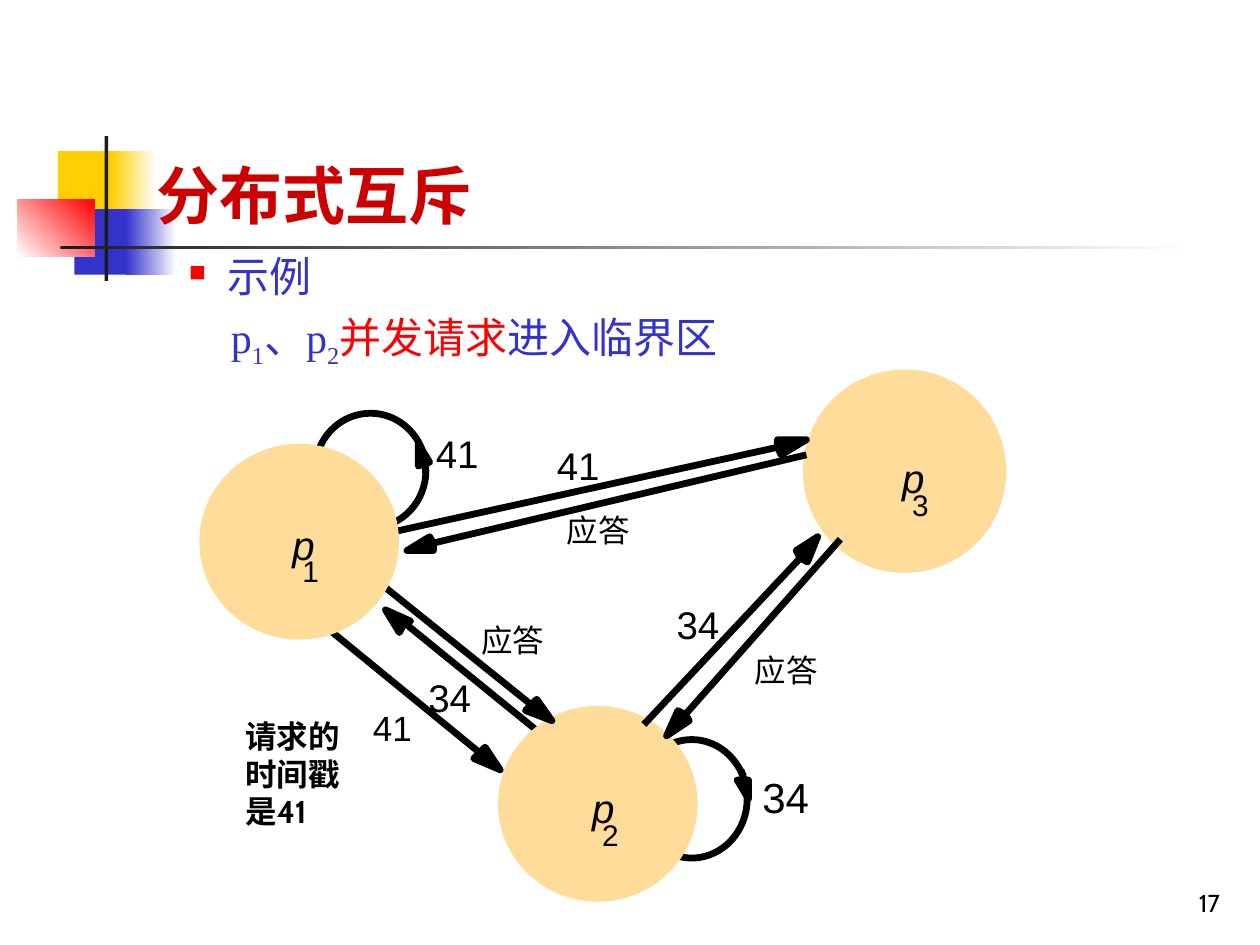
from pptx import Presentation
from pptx.dml.color import RGBColor
from pptx.enum.shapes import MSO_CONNECTOR, MSO_SHAPE
from pptx.enum.text import MSO_ANCHOR, MSO_AUTO_SIZE, PP_ALIGN
from pptx.oxml.ns import qn
from pptx.util import Inches, Pt
from lxml import etree

RECT, OVAL = MSO_SHAPE.RECTANGLE, MSO_SHAPE.OVAL
STRAIGHT = MSO_CONNECTOR.STRAIGHT
LEFT, RIGHT = PP_ALIGN.LEFT, PP_ALIGN.RIGHT
TOP, BOTTOM = MSO_ANCHOR.TOP, MSO_ANCHOR.BOTTOM
NO_FIT = MSO_AUTO_SIZE.NONE

BLACK = RGBColor(0x00, 0x00, 0x00)
WHITE = RGBColor(0xFF, 0xFF, 0xFF)
DARK = RGBColor(0x1C, 0x1C, 0x1C)
YELLOW = RGBColor(0xFF, 0xCF, 0x01)
BLUE = RGBColor(0x33, 0x33, 0xCC)
RED = RGBColor(0xFF, 0x00, 0x00)
CRIMSON = RGBColor(0xCC, 0x00, 0x00)
PEACH = RGBColor(0xFF, 0xDC, 0x99)

SANS, LABEL, SERIF, CJK = "Cabin", "Arial", "Times New Roman", "Noto Sans CJK JP"
STROKE = Pt(3.88)


class Slide:
    """The current slide and the style of its elements."""

    def __init__(self, prs):
        self.s = prs.slides.add_slide(prs.slide_layouts[5])

    def run(self, p, text, size, color, font=LABEL, bold=False, italic=False, base=0):
        r = p.add_run()
        r.text = text
        f = r.font
        f.size, f.name, f.bold, f.italic = Pt(size), font, bold, italic
        f.color.rgb = color
        rpr = r._r.get_or_add_rPr()
        etree.SubElement(rpr, qn("a:ea")).set("typeface", CJK)
        if base:
            rpr.set("baseline", str(base * 1000))

    def title(self, box, text):
        sp = self.s.shapes.title
        sp.left, sp.top, sp.width, sp.height = map(Inches, box)
        tf = sp.text_frame
        tf.auto_size, tf.vertical_anchor = NO_FIT, BOTTOM
        p = tf.paragraphs[0]
        p.alignment = LEFT
        self.run(p, text, 36, CRIMSON, CJK, bold=True)
        self.s.shapes.element.append(sp.element)  # in front of the ornament

    def text_box(self, box, anchor=TOP):
        tf = self.s.shapes.add_textbox(*map(Inches, box)).text_frame
        tf.word_wrap, tf.auto_size, tf.vertical_anchor = True, NO_FIT, anchor
        return tf

    def label(self, x, y, text, size, font=LABEL, italic=False):
        width = size / 72 * (1 if font == SANS else 0.8) * len(text)
        tf = self.text_box((x, y, width, size / 60))
        tf.word_wrap = False
        tf.margin_left = tf.margin_top = tf.margin_right = tf.margin_bottom = 0
        self.run(tf.paragraphs[0], text, size, BLACK, font, italic=italic)

    def bar(self, box, color, fade_to=None, angle=0):
        sp = self.s.shapes.add_shape(RECT, *map(Inches, box))
        sp.shadow.inherit = False
        sp.line.fill.background()
        if fade_to is None:
            sp.fill.solid()
            sp.fill.fore_color.rgb = color
        else:
            sp.fill.gradient()
            sp.fill.gradient_angle = angle
            for stop, c, pos in zip(sp.fill.gradient_stops, (color, fade_to), (0, 1)):
                stop.color.rgb, stop.position = c, pos

    def ring(self, box, fill=None):
        sp = self.s.shapes.add_shape(OVAL, *map(Inches, box))
        sp.shadow.inherit = False
        if fill is None:
            sp.fill.background()
        else:
            sp.fill.solid()
            sp.fill.fore_color.rgb = fill
        sp.line.color.rgb, sp.line.width = fill or BLACK, STROKE

    def line(self, start, end):
        cx = self.s.shapes.add_connector(STRAIGHT, *map(Inches, start + end))
        cx.line.color.rgb, cx.line.width = BLACK, STROKE
        etree.SubElement(cx._element.spPr, qn("a:effectLst"))

    def head(self, *points):
        pts = [(Inches(x), Inches(y)) for x, y in points]
        fb = self.s.shapes.build_freeform(*pts[0], scale=1.0)
        fb.add_line_segments(pts[1:], close=True)
        sp = fb.convert_to_shape()
        sp.shadow.inherit = False
        sp.fill.solid()
        sp.fill.fore_color.rgb = BLACK
        sp.line.color.rgb, sp.line.width = BLACK, STROKE

    def node_name(self, x, y, index):
        self.label(x, y, "p", 23, italic=True)
        self.label(x + 0.08, y + 0.26, index, 17)


def indent(p, bullet=False):
    p.space_before = Pt(6)
    ppr = p._p.get_or_add_pPr()
    ppr.set("marL", str(Inches(0.81)))
    ppr.set("indent", str(Inches(-0.31)))
    if bullet:
        clr = etree.SubElement(ppr, qn("a:buClr"))
        etree.SubElement(clr, qn("a:srgbClr")).set("val", str(RED))
        etree.SubElement(ppr, qn("a:buSzPct")).set("val", "55000")
        etree.SubElement(ppr, qn("a:buChar")).set("char", "■")


def main():
    prs = Presentation()
    prs.slide_width, prs.slide_height = Inches(10), Inches(7.5)
    d = Slide(prs)

    # Corner ornament and rule
    d.bar((0.46, 1.2, 0.48, 0.52), YELLOW)
    d.bar((0.88, 1.2, 0.36, 0.52), YELLOW, WHITE)
    d.bar((0.59, 1.66, 0.46, 0.52), BLUE)
    d.bar((1, 1.66, 0.4, 0.52), BLUE, WHITE)
    d.bar((0.14, 1.58, 0.61, 0.46), WHITE, RED, 45)
    d.bar((0.83, 1.08, 0.03, 1.15), DARK)
    d.bar((0.48, 1.95, 9, 0.03), DARK, WHITE)

    # Page number, title and body
    p = d.text_box((7.7, 6.83, 2.08, 0.5), BOTTOM).paragraphs[0]
    p.alignment = RIGHT
    d.run(p, "17", 14, BLACK, SANS)
    d.title((1.14, 0.91, 7.4, 0.98), "分布式互斥")
    tf = d.text_box((0.9, 1.94, 8.51, 1.1))
    p = tf.paragraphs[0]
    indent(p, bullet=True)
    d.run(p, "示例", 24, BLUE, SERIF)
    p = tf.add_paragraph()
    indent(p)
    for text, color, base in (("\u3000p", BLUE, 0), ("1", BLUE, -25), ("、p", BLUE, 0),
                              ("2", BLUE, -25), ("并发请求", RED, 0),
                              ("进入临界区", BLUE, 0)):
        d.run(p, text, 24, color, SERIF, base=base)

    # Self loops and processes p2, p3, over the line that leaves p2
    d.line((4.35, 5.87), (3.23, 4.96))
    d.ring((5.05, 5.87, 0.88, 0.94))
    d.ring((3.98, 5.63, 1.53, 1.5), PEACH)
    d.ring((2.5, 3.28, 0.88, 0.91))
    d.ring((6.4, 2.96, 1.56, 1.56), PEACH)

    # Message lines
    for start, end in (((3.08, 4.23), (6.17, 3.55)), ((6.4, 3.61), (3.44, 4.31)),
                       ((2.53, 4.93), (3.79, 5.96)), ((3.03, 4.64), (4.2, 5.58)),
                       ((5.11, 5.75), (6.35, 4.43)), ((6.67, 4.28), (5.44, 5.67)),
                       ((5.9, 6.16), (5.88, 6.11)), ((3.38, 3.76), (3.38, 3.7))):
        d.line(start, end)

    # Arrowheads
    d.head((6.17, 3.55), (6.17, 3.49), (6.4, 3.49), (6.2, 3.61))
    d.head((3.44, 4.31), (3.44, 4.37), (3.23, 4.37), (3.41, 4.26))
    d.head((3.79, 5.99), (3.85, 5.93), (3.97, 6.11), (3.76, 6.02))
    d.head((4.23, 5.58), (4.26, 5.55), (4.38, 5.72), (4.17, 5.64))
    d.head((3.2, 4.96), (3.17, 5.02), (3.06, 4.84), (3.26, 4.93))
    d.head((6.35, 4.43), (6.32, 4.37), (6.49, 4.26), (6.41, 4.46))
    d.head((5.44, 5.67), (5.47, 5.72), (5.29, 5.84), (5.38, 5.64))
    d.head((5.91, 6.19), (5.94, 6.19), (5.94, 6.34), (5.85, 6.19))
    d.head((3.38, 3.67), (3.32, 3.7), (3.32, 3.52), (3.41, 3.67))

    # Process p1 covers the line starts
    d.ring((1.61, 3.55, 1.53, 1.5), PEACH)

    # Process names
    for x, y, index in ((2.32, 4.13, "1"), (4.7, 6.22, "2"), (7.16, 3.6, "3")):
        d.node_name(x, y, index)

    # Timestamps and replies
    for x, y, text, size in ((3.46, 3.41, "41", 22), (4.42, 3.51, "41", 22),
                             (2.96, 5.61, "41", 20), (3.4, 5.35, "34", 22),
                             (5.37, 4.77, "34", 22), (6.05, 6.12, "34", 24)):
        d.label(x, y, text, size)
    for x, y, font in ((4.5, 4.06, LABEL), (3.82, 4.93, SANS), (5.99, 5.17, SANS)):
        d.label(x, y, "应答", 18, font)

    # Note on the timestamp
    p = d.text_box((1.85, 5.64, 1.1, 1)).paragraphs[0]
    d.run(p, "请求的时间戳是41", 18, BLACK, SANS, bold=True)

    prs.save("out.pptx")


if __name__ == "__main__":
    main()
